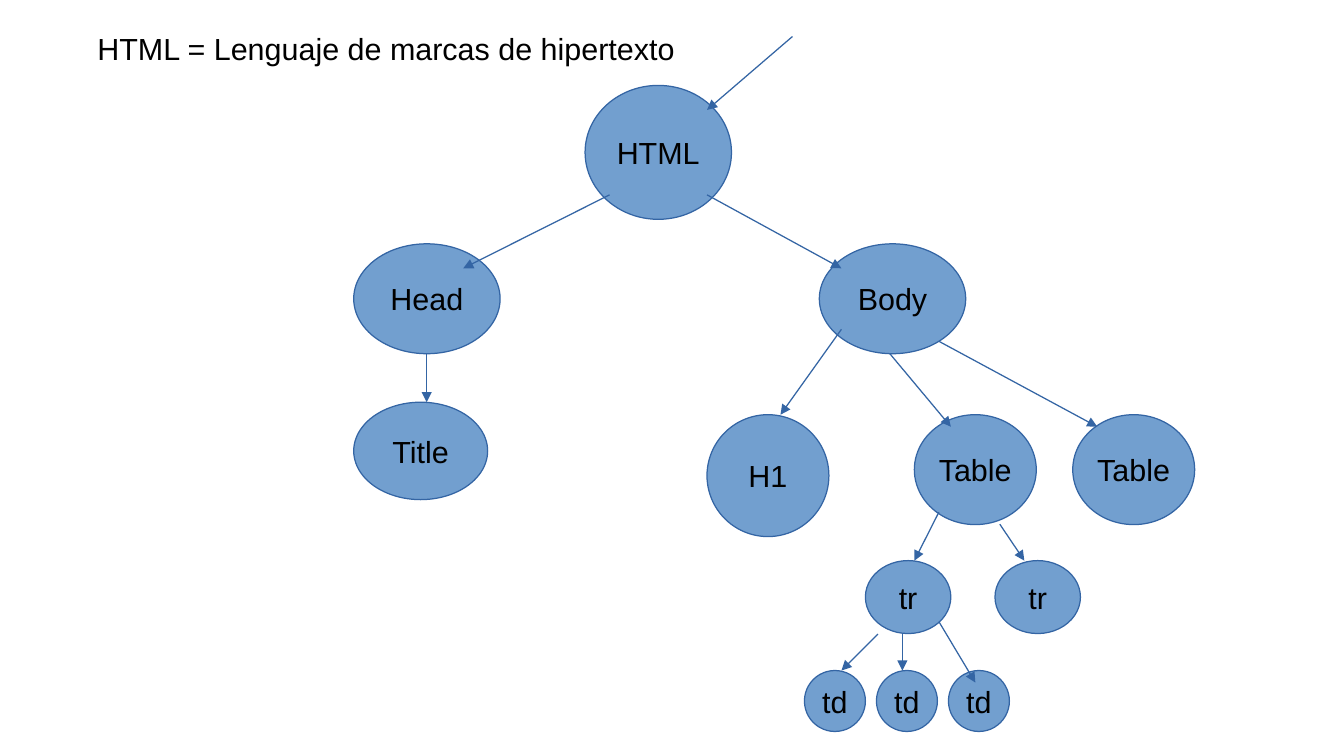
from lxml.etree import SubElement
from pptx import Presentation
from pptx.dml.color import RGBColor
from pptx.enum.shapes import MSO_CONNECTOR as Connector, MSO_SHAPE as Shape
from pptx.enum.text import MSO_ANCHOR as Anchor, MSO_AUTO_SIZE as AutoSize, PP_ALIGN as Align
from pptx.oxml.ns import qn
from pptx.util import Cm, Pt

COLORS = {"node": "729FCF", "edge": "3465A4", "text": "000000"}

# Nodes in cm: label, left, top, width, height
NODES = [
    ("HTML", 12.19, 1.78, 3.05, 2.79),
    ("Head", 7.37, 5.08, 3.05, 2.29),
    ("Body", 17.07, 5.08, 3.05, 2.29),
    ("Title", 7.37, 8.38, 2.79, 2.03),
    ("H1", 14.73, 8.64, 2.54, 2.54),
]

# Rows of equal nodes in cm: label, count, step, left, top, width, height
NODE_ROWS = [
    ("Table", 2, 3.3, 19.05, 8.64, 2.54, 2.29),
    ("tr", 2, 2.7, 18.03, 11.68, 1.78, 1.52),
    ("td", 3, 1.5, 16.76, 13.97, 1.27, 1.27),
]

# Arrows in cm: start x, start y, end x, end y
ARROWS = [
    (16.51, 0.76, 14.73, 2.29),   # into HTML
    (12.7, 4.06, 9.65, 5.59),     # HTML to Head
    (14.73, 4.06, 17.53, 5.59),   # HTML to Body
    (8.89, 7.37, 8.89, 8.38),     # Head to Title
    (17.53, 6.86, 16.26, 8.64),   # Body to H1
    (18.54, 7.37, 19.81, 8.89),   # Body to first Table
    (19.56, 7.11, 22.86, 8.89),   # Body to second Table
    (19.56, 10.67, 19.05, 11.68),  # Table to first tr
    (20.83, 10.92, 21.34, 11.68),  # Table to second tr
    (18.29, 13.21, 17.53, 13.97),  # tr to each td
    (18.8, 13.21, 18.8, 13.97),
    (19.56, 12.95, 20.32, 14.22),
]


def rgb(name):
    return RGBColor.from_string(COLORS[name])


def write(frame, text, align):
    paragraph = frame.paragraphs[0]
    paragraph.text = text
    paragraph.alignment = align
    paragraph.font.name = "Arial"
    paragraph.font.size = Pt(18)
    paragraph.font.color.rgb = rgb("text")


def style_line(line):
    line.color.rgb = rgb("edge")
    line.width = Pt(0.75)


def add_heading(slide, text, left, top, width, height):
    heading = slide.shapes.add_textbox(Cm(left), Cm(top), Cm(width), Cm(height))
    frame = heading.text_frame
    frame.word_wrap = True
    frame.auto_size = AutoSize.SHAPE_TO_FIT_TEXT
    write(frame, text, Align.LEFT)


def add_node(slide, label, left, top, width, height):
    node = slide.shapes.add_shape(Shape.OVAL, Cm(left), Cm(top), Cm(width), Cm(height))
    node.shadow.inherit = False
    node.fill.solid()
    node.fill.fore_color.rgb = rgb("node")
    style_line(node.line)
    frame = node.text_frame
    frame.word_wrap = False
    frame.vertical_anchor = Anchor.MIDDLE
    write(frame, label, Align.CENTER)


def add_node_row(slide, label, count, step, left, top, width, height):
    for index in range(count):
        add_node(slide, label, left + index * step, top, width, height)


def add_arrow(slide, *ends):
    arrow = slide.shapes.add_connector(Connector.STRAIGHT, *map(Cm, ends))
    style_line(arrow.line)
    properties = arrow._element.spPr
    SubElement(properties.find(qn("a:ln")), qn("a:tailEnd"), type="triangle")
    SubElement(properties, qn("a:effectLst"))


def main():
    deck = Presentation()
    deck.slide_width, deck.slide_height = Cm(28), Cm(15.75)
    slide = deck.slides.add_slide(deck.slide_layouts[6])

    # Heading
    add_heading(slide, "HTML = Lenguaje de marcas de hipertexto", 1.78, 0.51, 12.95, 1.02)

    # Document tree
    for node in NODES:
        add_node(slide, *node)
    for row in NODE_ROWS:
        add_node_row(slide, *row)
    for ends in ARROWS:
        add_arrow(slide, *ends)

    deck.save("out.pptx")


main()
